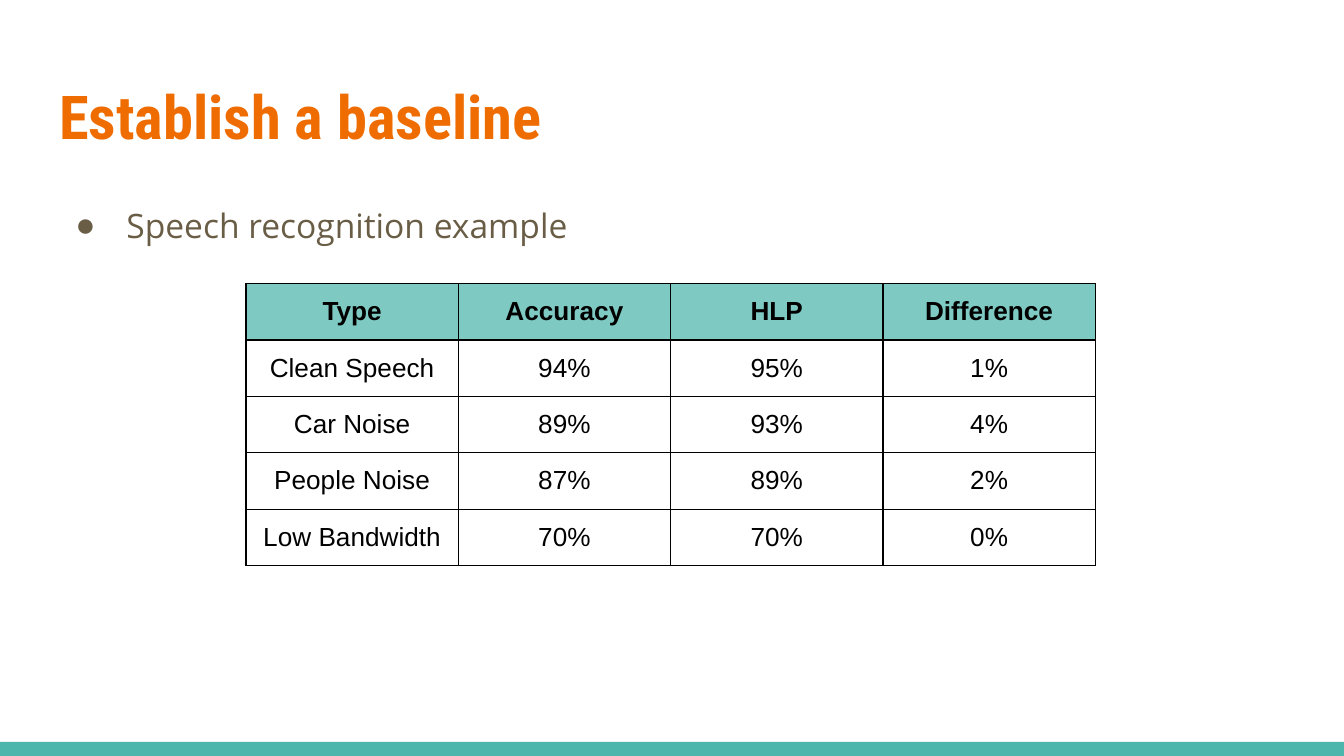
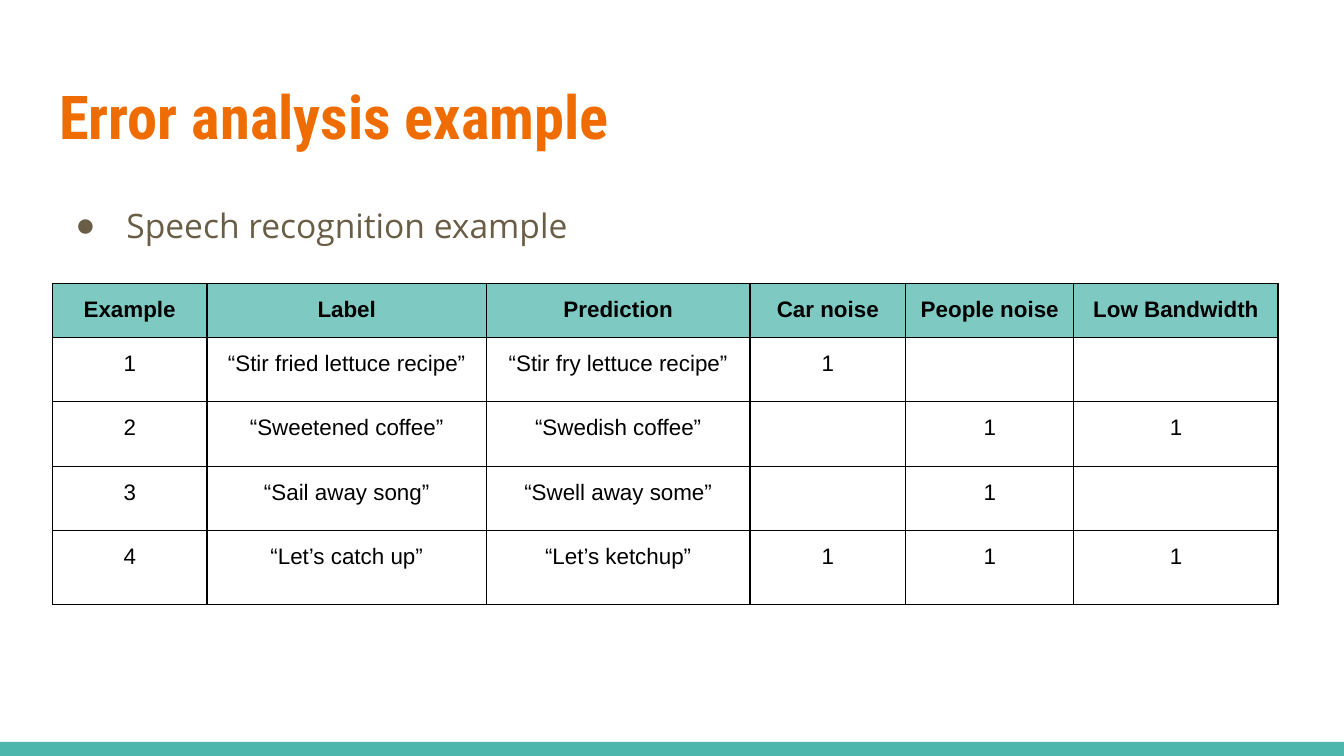
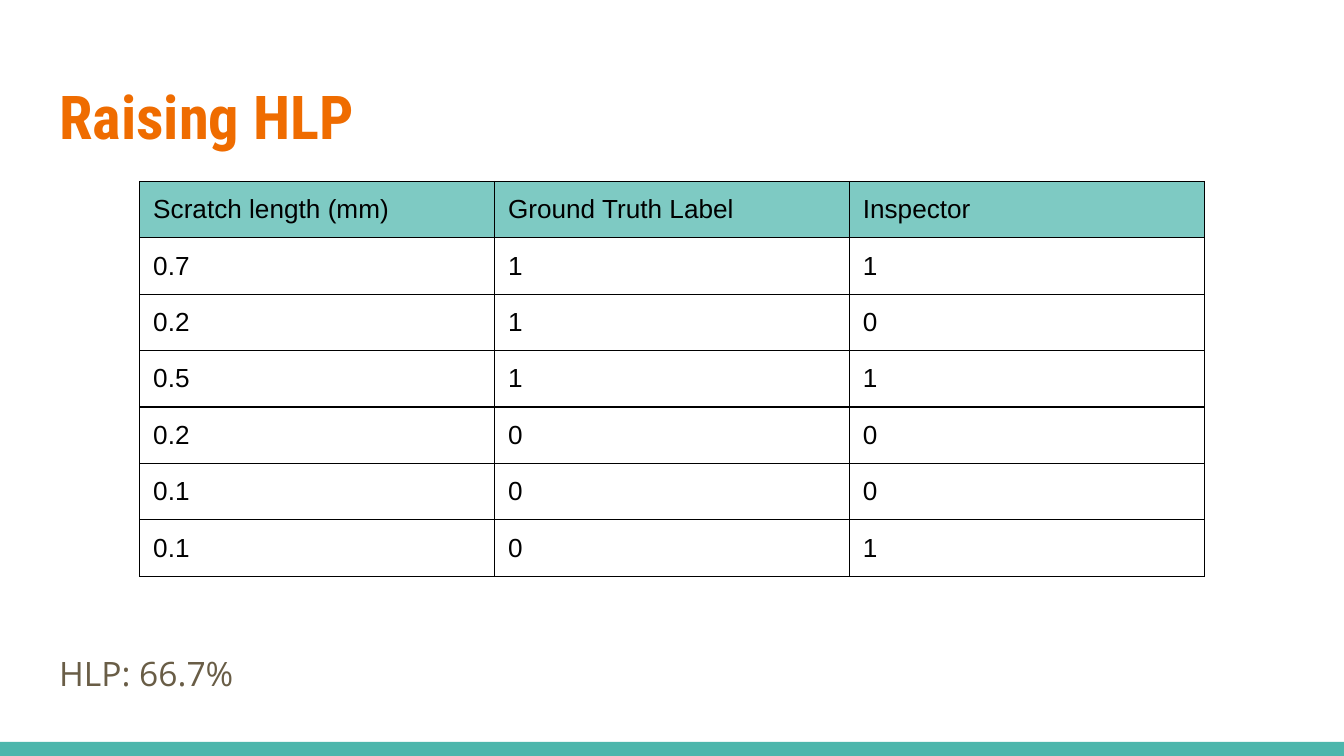
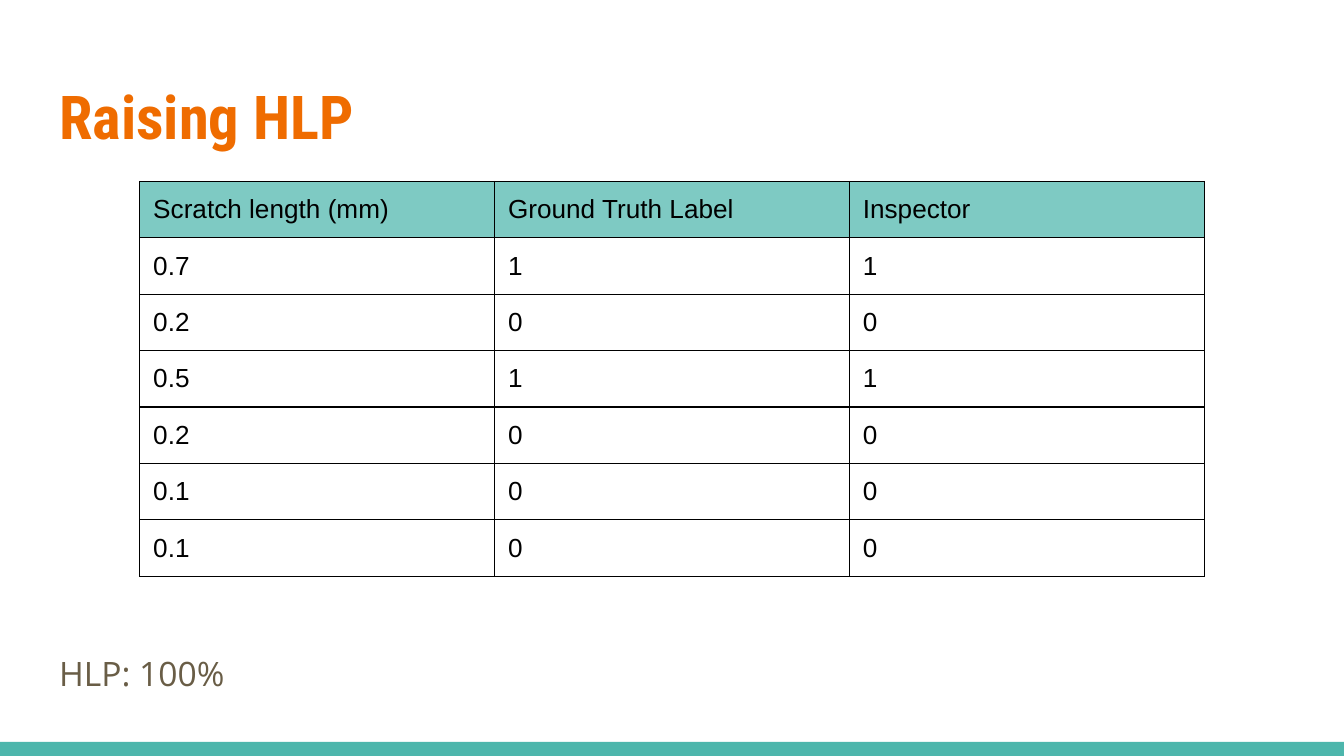
from dataclasses import dataclass

from lxml.etree import SubElement
from pptx import Presentation
from pptx.dml.color import RGBColor
from pptx.enum.shapes import MSO_SHAPE
from pptx.enum.text import MSO_ANCHOR, MSO_AUTO_SIZE, PP_ALIGN
from pptx.oxml.ns import qn
from pptx.util import Inches, Pt

COLORS = {
    "title": "EF6C00",
    "body": "695D46",
    "band": "4DB6AC",
    "table": "000000",
    "background": "FFFFFF",
}
TITLE_FONT, BODY_FONT, TABLE_FONT = "Roboto Condensed", "Open Sans", "Arial"
INSET = Inches(0.1)
HEADER_OPACITY = "72000"
SCRATCH_LENGTHS = ["0.7", "0.2", "0.5", "0.2", "0.1", "0.1"]


@dataclass(frozen=True)
class Box:
    left: float
    top: float
    width: float
    height: float


@dataclass(frozen=True)
class TableSpec:
    left: float
    top: float
    columns: list[float]
    row_heights: list[float]
    rows: list[list[str]]
    size: int = 14
    bold_header: bool = True
    alignment: PP_ALIGN = PP_ALIGN.CENTER


@dataclass(frozen=True)
class SlideSpec:
    title: str
    body: str
    table: TableSpec
    bulleted: bool = True


TITLE_BOX = Box(0.34, 0.49, 9.32, 0.77)
LIST_BOX = Box(0.34, 1.38, 9.32, 3.61)
RESULT_BOX = Box(0.34, 1.69, 9.32, 3.57)


def color(name: str) -> RGBColor:
    return RGBColor.from_string(COLORS[name])


def style_run(run, font_name: str, size: float, color_name: str, bold: bool = False) -> None:
    run.font.name = font_name
    run.font.size = Pt(size)
    run.font.bold = bold
    run.font.color.rgb = color(color_name)


def fill_placeholder(shape, box: Box, text: str, anchor: MSO_ANCHOR):
    shape.left, shape.top = Inches(box.left), Inches(box.top)
    shape.width, shape.height = Inches(box.width), Inches(box.height)
    frame = shape.text_frame
    frame.text = text
    frame.word_wrap = True
    frame.auto_size = MSO_AUTO_SIZE.NONE
    frame.vertical_anchor = anchor
    frame.margin_left = frame.margin_right = INSET
    frame.margin_top = frame.margin_bottom = INSET
    paragraph = frame.paragraphs[0]
    paragraph.alignment = PP_ALIGN.LEFT
    paragraph.space_before = Pt(0)
    return paragraph


def add_title(slide, text: str) -> None:
    paragraph = fill_placeholder(slide.shapes.title, TITLE_BOX, text, MSO_ANCHOR.TOP)
    style_run(paragraph.runs[0], TITLE_FONT, 32.4, "title", bold=True)


def add_body(slide, text: str, bulleted: bool) -> None:
    box, anchor = (LIST_BOX, MSO_ANCHOR.TOP) if bulleted else (RESULT_BOX, MSO_ANCHOR.BOTTOM)
    paragraph = fill_placeholder(slide.placeholders[1], box, text, anchor)
    properties = paragraph._p.get_or_add_pPr()
    properties.set("marL", str(Inches(0.5 if bulleted else 0)))
    properties.set("indent", str(Inches(-0.38 if bulleted else 0)))
    if bulleted:
        bullet_color = SubElement(properties, qn("a:buClr"))
        SubElement(bullet_color, qn("a:srgbClr"), val=COLORS["body"])
        SubElement(properties, qn("a:buFont"), typeface=TABLE_FONT)
        SubElement(properties, qn("a:buChar"), char="●")
    else:
        SubElement(properties, qn("a:buNone"))
    paragraph.line_spacing = 1.15
    style_run(paragraph.runs[0], BODY_FONT, 18, "body")


def style_cell(cell, text: str, table_spec: TableSpec, is_header: bool) -> None:
    cell.text_frame.text = text
    cell.margin_left = cell.margin_right = INSET
    cell.margin_top = cell.margin_bottom = INSET
    paragraph = cell.text_frame.paragraphs[0]
    paragraph.alignment = table_spec.alignment
    for run in paragraph.runs:
        style_run(run, TABLE_FONT, table_spec.size, "table", is_header and table_spec.bold_header)
    if not text:
        SubElement(paragraph._p, qn("a:endParaRPr"), sz=str(table_spec.size * 100))

    properties = cell._tc.get_or_add_tcPr()
    for side in ("lnL", "lnR", "lnT", "lnB"):
        line = SubElement(properties, qn(f"a:{side}"), w=str(Pt(0.75)))
        line_fill = SubElement(line, qn("a:solidFill"))
        SubElement(line_fill, qn("a:srgbClr"), val=COLORS["table"])
    if is_header:
        cell.fill.solid()
        cell.fill.fore_color.rgb = color("band")
        fill_color = properties.find(qn("a:solidFill")).find(qn("a:srgbClr"))
        SubElement(fill_color, qn("a:alpha"), val=HEADER_OPACITY)
    else:
        cell.fill.background()


def add_data_table(slide, table_spec: TableSpec) -> None:
    table = slide.shapes.add_table(
        len(table_spec.rows), len(table_spec.columns),
        Inches(table_spec.left), Inches(table_spec.top),
        Inches(sum(table_spec.columns)), Inches(sum(table_spec.row_heights)),
    ).table
    table.first_row = table.horz_banding = False
    for column, width in zip(table.columns, table_spec.columns):
        column.width = Inches(width)
    for row_index, (height, texts) in enumerate(zip(table_spec.row_heights, table_spec.rows)):
        table.rows[row_index].height = Inches(height)
        for column_index, text in enumerate(texts):
            style_cell(table.cell(row_index, column_index), text, table_spec, row_index == 0)


def add_master_band(presentation, slide) -> None:
    """Draw the bottom band and move it to the slide master."""
    band = slide.shapes.add_shape(
        MSO_SHAPE.RECTANGLE, Inches(0), Inches(5.52), Inches(10), Inches(0.11)
    )
    band.shadow.inherit = False
    band.fill.solid()
    band.fill.fore_color.rgb = color("band")
    band.line.fill.background()
    band.element.nvSpPr.cNvPr.set("id", "20")
    presentation.slide_master.element.cSld.spTree.append(band.element)


def scratch_slide(truth: str, inspector: str, result: str) -> SlideSpec:
    header = ["Scratch length (mm)", "Ground Truth Label", "Inspector"]
    rows = [header] + [list(row) for row in zip(SCRATCH_LENGTHS, truth, inspector)]
    table = TableSpec(
        1.04, 1.35, [2.64] * 3, [0.42] * len(rows), rows,
        bold_header=False, alignment=PP_ALIGN.LEFT,
    )
    return SlideSpec("Raising HLP", result, table, bulleted=False)


BASELINE_TABLE = TableSpec(1.83, 2.11, [1.58] * 4, [0.42] * 5, [
    ["Type", "Accuracy", "HLP", "Difference"],
    ["Clean Speech", "94%", "95%", "1%"],
    ["Car Noise", "89%", "93%", "4%"],
    ["People Noise", "87%", "89%", "2%"],
    ["Low Bandwidth", "70%", "70%", "0%"],
])
ERROR_TABLE = TableSpec(
    0.39, 2.11, [1.15, 2.08, 1.96, 1.16, 1.25, 1.52], [0.4, 0.48, 0.48, 0.48, 0.55], [
        ["Example", "Label", "Prediction", "Car noise", "People noise", "Low Bandwidth"],
        ["1", "“Stir fried lettuce recipe”", "“Stir fry lettuce recipe”", "1", "", ""],
        ["2", "“Sweetened coffee”", "“Swedish coffee”", "", "1", "1"],
        ["3", "“Sail away song”", "“Swell away some”", "", "1", ""],
        ["4", "“Let’s catch up”", "“Let’s ketchup”", "1", "1", "1"],
    ], size=12,
)
SLIDES = [
    SlideSpec("Establish a baseline", "Speech recognition example", BASELINE_TABLE),
    SlideSpec("Error analysis example", "Speech recognition example", ERROR_TABLE),
    scratch_slide("111000", "101001", "HLP: 66.7%"),
    scratch_slide("101000", "101000", "HLP: 100%"),
]


def main() -> None:
    presentation = Presentation()
    presentation.slide_width = Inches(10)
    presentation.slide_height = Inches(10 * 9 / 16)
    background = presentation.slide_master.background.fill
    background.solid()
    background.fore_color.rgb = color("background")
    for slide_spec in SLIDES:
        slide = presentation.slides.add_slide(presentation.slide_layouts[1])
        add_title(slide, slide_spec.title)
        add_body(slide, slide_spec.body, slide_spec.bulleted)
        add_data_table(slide, slide_spec.table)
    add_master_band(presentation, presentation.slides[0])
    presentation.save("out.pptx")


if __name__ == "__main__":
    main()
